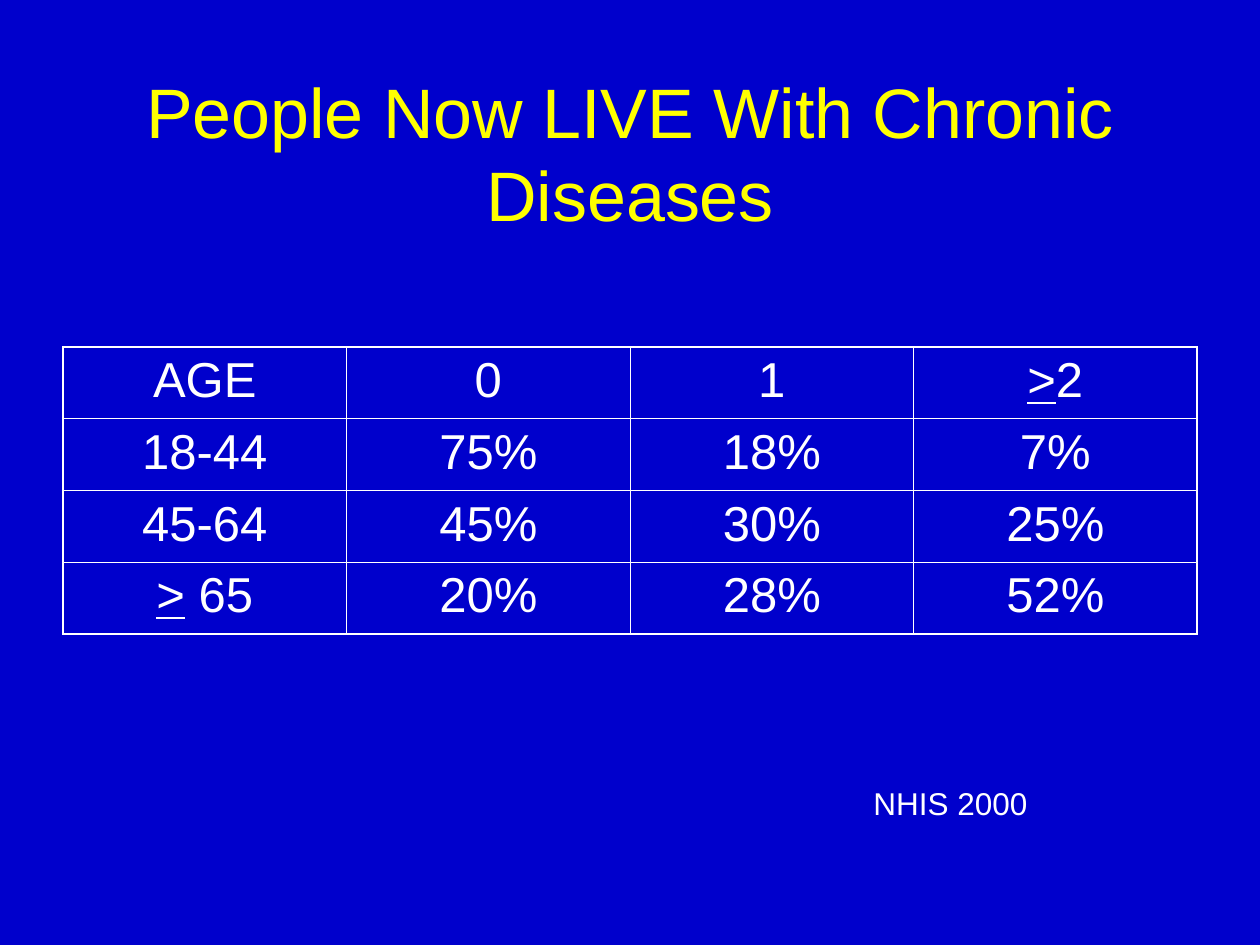
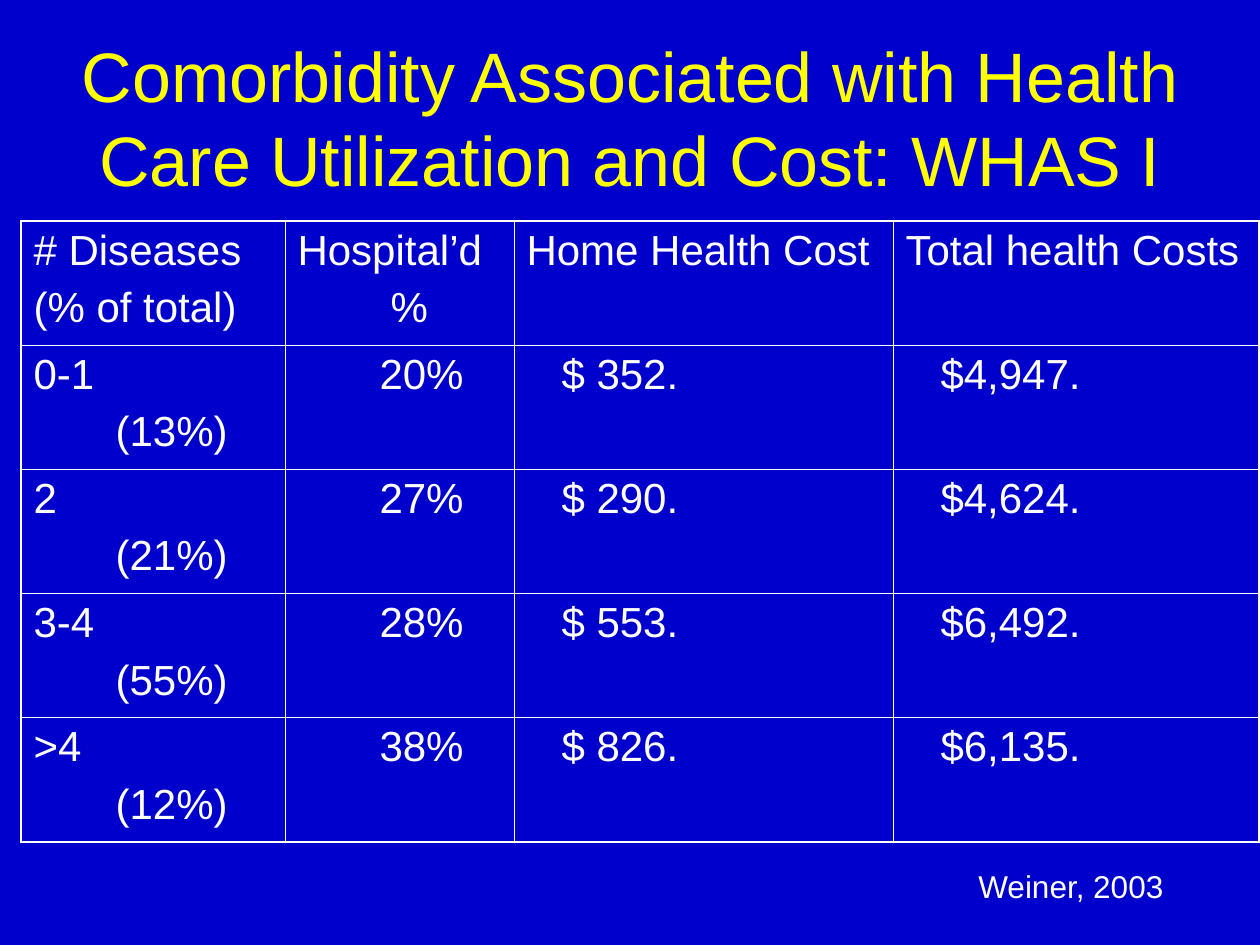
"""Builds two slides of tables on chronic disease and health care cost."""
from dataclasses import dataclass

from lxml import etree
from pptx import Presentation
from pptx import util as u
from pptx.dml.color import RGBColor
from pptx.enum import text as t
from pptx.oxml import ns

SCALE = 914400 / 126


@dataclass(frozen=True)
class Theme:
    """Colours, font and type sizes of the deck."""
    back: str = "0000CC"
    title: str = "FFFF00"
    ink: str = "FFFFFF"
    font: str = "Arial"
    title_size: int = 40
    note_size: int = 18
    outer_line: float = 1.08
    inner_line: float = 0.45


@dataclass(frozen=True)
class Line:
    """One paragraph of a cell, with an optional underlined lead."""
    body: str
    indent: int = 0
    lead: str = ""


THEME = Theme()


def px(n):
    """Turn pixels into EMU."""
    return u.Emu(round(n * SCALE))


def add_run(p, body, size, color=THEME.ink, underline=False):
    """Add one styled run to a paragraph."""
    r = p.add_run()
    r.text = body
    r.font.name = THEME.font
    r.font.size = u.Pt(size)
    r.font.color.rgb = RGBColor.from_string(color)
    if underline:
        r.font.underline = True


def add_title(s, body, box):
    """Place and fill the title placeholder."""
    sp = s.shapes.title
    sp.left, sp.top, sp.width, sp.height = map(px, box)
    tf = sp.text_frame
    tf.word_wrap = True
    tf.auto_size = t.MSO_AUTO_SIZE.NONE
    tf.vertical_anchor = t.MSO_ANCHOR.MIDDLE
    p = tf.paragraphs[0]
    p.alignment = t.PP_ALIGN.CENTER
    add_run(p, body, THEME.title_size, THEME.title)


def add_note(s, body, box):
    """Add the source note below the table."""
    tf = s.shapes.add_textbox(*map(px, box)).text_frame
    tf.word_wrap = True
    add_run(tf.paragraphs[0], body, THEME.note_size)


def set_borders(cell, outer_sides):
    """Draw the four cell borders, heavier on the outer sides."""
    tc_pr = cell._tc.get_or_add_tcPr()
    for i, side in enumerate("LRTB"):
        width = THEME.outer_line if side in outer_sides else THEME.inner_line
        ln = etree.Element(ns.qn(f"a:ln{side}"), w=str(u.Pt(width)))
        fill = etree.SubElement(ln, ns.qn("a:solidFill"))
        etree.SubElement(fill, ns.qn("a:srgbClr"), val=THEME.ink)
        tc_pr.insert(i, ln)


def fill_cell(cell, lines, size, align, gap):
    """Write the lines of one cell."""
    cell.fill.background()
    tf = cell.text_frame
    for i, line in enumerate(lines):
        p = tf.add_paragraph() if i else tf.paragraphs[0]
        p.alignment = align
        if i:
            p.space_before = u.Pt(gap)
        if line.indent:
            p_pr = p._p.get_or_add_pPr()
            p_pr.set("marL", str(px(line.indent)))
            p_pr.set("indent", "0")
        if line.lead:
            add_run(p, line.lead, size, underline=True)
        add_run(p, line.body, size)


def add_grid(s, rows, box, shares, size, align, gap=0):
    """Add a table with equal rows and columns shared out by width."""
    n_rows, n_cols = len(rows), len(shares)
    table = s.shapes.add_table(n_rows, n_cols, *map(px, box)).table
    table.first_row = table.horz_banding = False
    for col, share in zip(table.columns, shares):
        col.width = px(box[2] * share / sum(shares))
    for y, row in enumerate(rows):
        table.rows[y].height = px(box[3] / n_rows)
        for x, lines in enumerate(row):
            cell = table.cell(y, x)
            fill_cell(cell, lines, size, align, gap)
            edges = {"L": x == 0, "R": x == n_cols - 1,
                     "T": y == 0, "B": y == n_rows - 1}
            set_borders(cell, [k for k, outer in edges.items() if outer])


def age_slide(prs):
    """Share of people with 0, 1 or more diseases by age."""
    s = prs.slides.add_slide(prs.slide_layouts[5])
    add_title(s, "People Now LIVE With Chronic Diseases", (63, 73, 1134, 158))
    plain = [["AGE", "0", "1"],
             ["18-44", "75%", "18%", "7%"],
             ["45-64", "45%", "30%", "25%"],
             ["20%", "28%", "52%"]]
    rows = [[[Line(body)] for body in row] for row in plain]
    rows[0].append([Line("2", lead=">")])
    rows[-1].insert(0, [Line(" 65", lead=">")])
    add_grid(s, rows, (63, 347, 1134, 287), [1] * 4, 28, t.PP_ALIGN.CENTER)
    add_note(s, "NHIS 2000", (861, 778, 315, 50))


def cost_slide(prs):
    """Care use and cost by number of diseases."""
    s = prs.slides.add_slide(prs.slide_layouts[5])
    add_title(s, "Comorbidity Associated with Health Care Utilization "
                 "and Cost: WHAS I", (63, 38, 1134, 158))
    header = [[Line("# Diseases"), Line("(% of total)")],
              [Line("Hospital’d"), Line("%", 93)],
              [Line("Home Health Cost")],
              [Line("Total health Costs")]]
    data = [("0-1", "(13%)", "20%", "$ 352.", "$4,947."),
            ("2", "(21%)", "27%", "$ 290.", "$4,624."),
            ("3-4", "(55%)", "28%", "$ 553.", "$6,492."),
            (">4", "(12%)", "38%", "$ 826.", "$6,135.")]
    rows = [header] + [
        [[Line(count), Line(share, 82)], [Line(hospital, 82)],
         [Line(home, 35)], [Line(total, 35)]]
        for count, share, hospital, home, total in data]
    add_grid(s, rows, (21, 221, 1238, 621), [264, 229, 379, 366], 24,
             t.PP_ALIGN.LEFT, gap=6)
    add_note(s, "Weiner, 2003", (966, 861, 294, 50))


def main():
    """Build and save the deck."""
    prs = Presentation()
    prs.slide_width, prs.slide_height = px(1260), px(945)
    fill = prs.slide_master.background.fill
    fill.solid()
    fill.fore_color.rgb = RGBColor.from_string(THEME.back)
    age_slide(prs)
    cost_slide(prs)
    prs.save("out.pptx")


if __name__ == "__main__":
    main()
